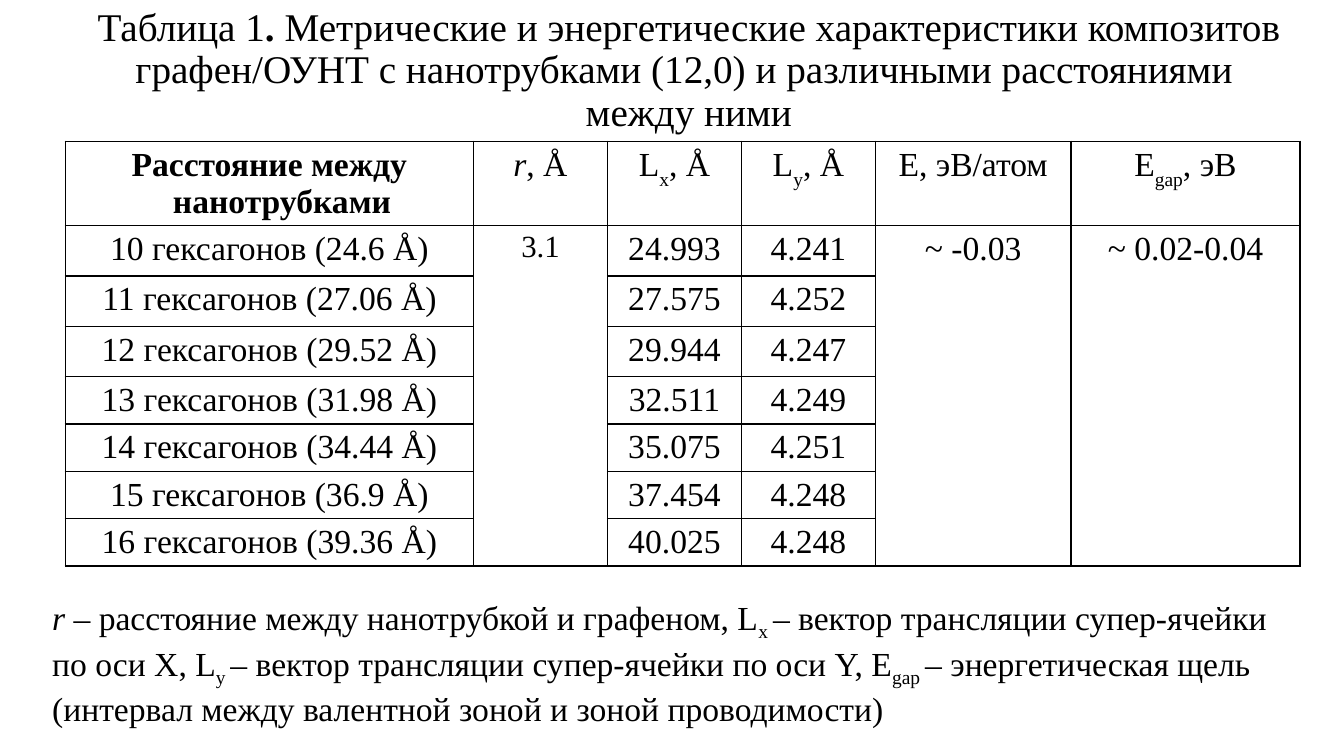
import pptx
import pptx.util
import pptx.dml.color
import pptx.enum.text
import pptx.oxml
import pptx.oxml.ns
from dataclasses import dataclass

Pt = pptx.util.Pt
CENTER = pptx.enum.text.PP_ALIGN.CENTER


@dataclass(frozen=True)
class Theme:
    font: str = "Times New Roman"
    ink: str = "000000"
    title: float = 28
    body: float = 24
    small: float = 22
    border: float = 1
    hanging: float = 18


def add_run(p, text, *, theme, size=None, bold=False, italic=False, base=0):
    r = p.add_run()
    r.text = text
    r.font.name = theme.font
    r.font.size = Pt(size or theme.body)
    r.font.bold = bold
    r.font.italic = italic
    r.font.color.rgb = pptx.dml.color.RGBColor.from_string(theme.ink)
    if base:
        r._r.get_or_add_rPr().set("baseline", str(base * 1000))


class SlideBuilder:
    def __init__(self, prs, theme):
        self.theme = theme
        self.s = prs.slides.add_slide(prs.slide_layouts[5])

    def add_parts(self, p, parts, **common):
        """Parts are plain strings or (text, format) pairs."""
        for part in parts:
            text, fmt = (part, {}) if isinstance(part, str) else part
            add_run(p, text, theme=self.theme, **{**common, **fmt})

    def title(self, lines, x, y, w, h):
        sp = self.s.shapes.title
        sp.left, sp.top, sp.width, sp.height = Pt(x), Pt(y), Pt(w), Pt(h)
        tf = sp.text_frame
        tf.word_wrap = True
        tf.auto_size = pptx.enum.text.MSO_AUTO_SIZE.NONE
        tf.vertical_anchor = pptx.enum.text.MSO_ANCHOR.MIDDLE
        p = tf.paragraphs[0]
        p.alignment = CENTER
        p.line_spacing = 0.9
        for i, parts in enumerate(lines):
            if i:
                p.add_line_break()
            self.add_parts(p, parts, size=self.theme.title)

    def text(self, parts, x, y, w, h):
        sp = self.s.shapes.add_textbox(Pt(x), Pt(y), Pt(w), Pt(h))
        sp.text_frame.word_wrap = True
        self.add_parts(sp.text_frame.paragraphs[0], parts)

    def table(self, rows, x, y, widths, heights, merged):
        frame = self.s.shapes.add_table(len(rows), len(widths), Pt(x), Pt(y),
                                        Pt(sum(widths)), Pt(sum(heights)))
        table = frame.table
        table.first_row = table.horz_banding = False
        for column, width in zip(table.columns, widths):
            column.width = Pt(width)
        for row, height in zip(table.rows, heights):
            row.height = Pt(height)
        for i, row in enumerate(rows):
            for j, parts in enumerate(row):
                self.cell(table.cell(i, j), parts)
        for j in merged:
            table.cell(1, j).merge(table.cell(len(rows) - 1, j))

    def cell(self, cell, parts):
        tcPr = cell._tc.get_or_add_tcPr()
        for side in ("lnL", "lnR", "lnT", "lnB"):
            tcPr.append(pptx.oxml.parse_xml(
                f'<a:{side} {pptx.oxml.ns.nsdecls("a")} w="{Pt(self.theme.border)}">'
                f'<a:solidFill><a:srgbClr val="{self.theme.ink}"/></a:solidFill></a:{side}>'))
        cell.fill.background()
        if parts:
            p = cell.text_frame.paragraphs[0]
            p.alignment = CENTER
            pPr = p._p.get_or_add_pPr()
            pPr.set("marL", str(Pt(self.theme.hanging)))
            pPr.set("indent", str(-Pt(self.theme.hanging)))
            self.add_parts(p, parts)


def sub(text, base=-30):
    return text, {"base": base}


def main():
    theme = Theme()
    prs = pptx.Presentation()
    prs.slide_width, prs.slide_height = Pt(960), Pt(540)
    b = SlideBuilder(prs, theme)

    # Title
    b.title([["Таблица 1", (".", {"bold": True}),
              " Метрические и энергетические характеристики композитов "
              "графен/ОУНТ с нанотрубками (12,0) и различными расстояниями "],
             ["между ними"]], 24, 15.8, 936, 70)

    # Table: r, E and Egap are shared by all distances
    header = [[("Расстояние между нанотрубками", {"bold": True})],
              [("r", {"italic": True}), ", Å"],
              ["L", sub("x"), ", Å"],
              ["L", sub("y"), ", Å"],
              ["E, эВ/атом"],
              ["E", sub("gap"), ", эВ"]]
    data = [(10, "24.6", "24.993", "4.241"),
            (11, "27.06", "27.575", "4.252"),
            (12, "29.52", "29.944", "4.247"),
            (13, "31.98", "32.511", "4.249"),
            (14, "34.44", "35.075", "4.251"),
            (15, "36.9", "37.454", "4.248"),
            (16, "39.36", "40.025", "4.248")]
    rows = [[[f"{n} гексагонов ({distance} Å)"], [], [lx], [ly], [], []]
            for n, distance, lx, ly in data]
    shared = {1: ("3.1", {"size": theme.small}), 4: "~ -0.03", 5: "~ 0.02-0.04"}
    for j, value in shared.items():
        rows[0][j] = [value]
    b.table([header] + rows, 46.6, 100.8,
            widths=[291.6] + [95.7] * 3 + [139.7, 163.6],
            heights=[60] + [36] * 3 + [33.8] * 4, merged=shared)

    # Explanation of symbols
    b.text([("r", {"italic": True}),
            " – расстояние между нанотрубкой и графеном, L", sub("x ", -25),
            "– вектор трансляции супер-ячейки по оси X, L", sub("y ", -25),
            "– вектор трансляции супер-ячейки по оси Y, E", sub("gap ", -25),
            "– энергетическая щель (интервал между валентной зоной "
            "и зоной проводимости)"], 30.2, 422.6, 907, 91.4)

    prs.save("out.pptx")


if __name__ == "__main__":
    main()
